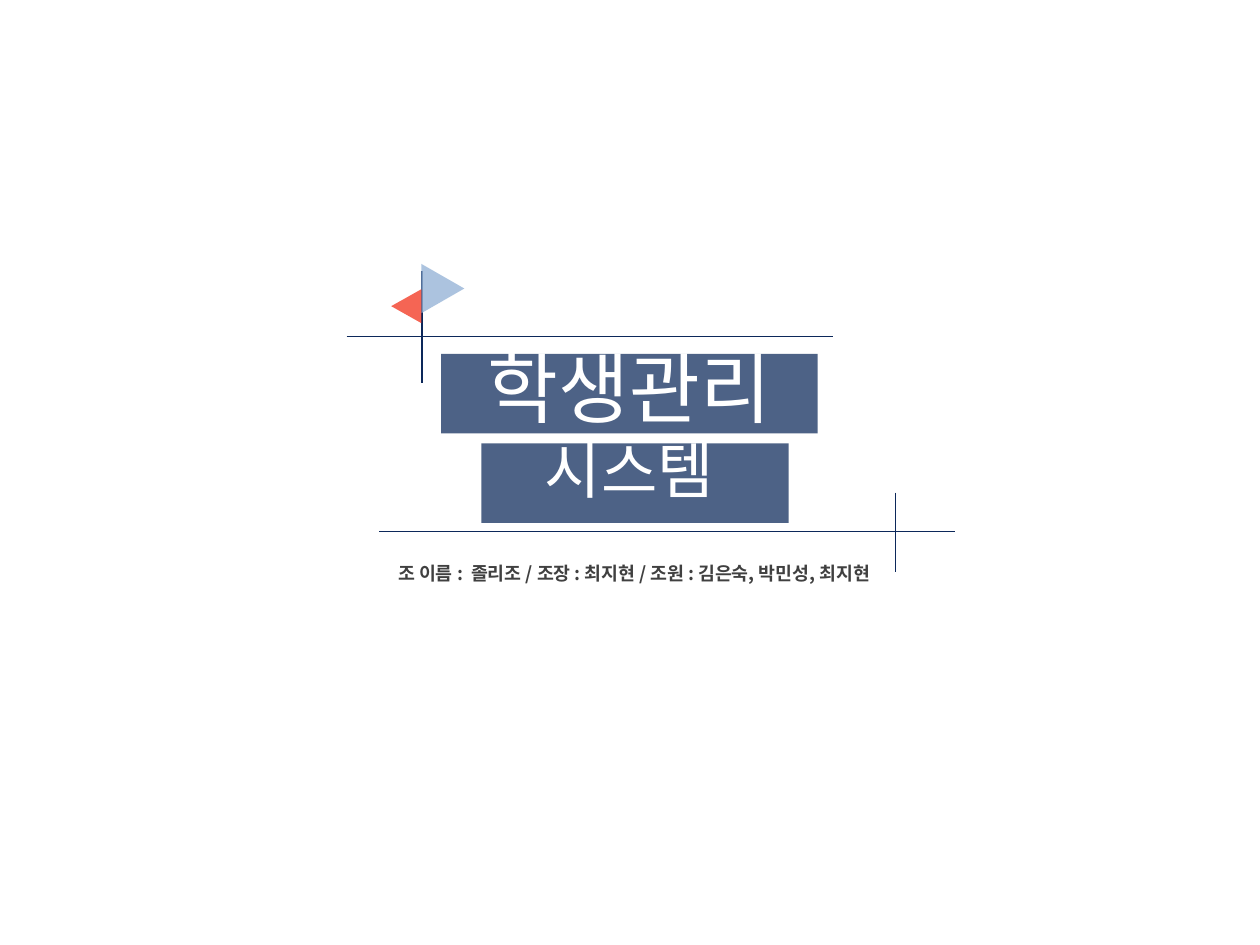
from pptx import Presentation
from pptx.dml.color import RGBColor
from pptx.enum.shapes import MSO_CONNECTOR, MSO_SHAPE
from pptx.enum.text import MSO_ANCHOR, PP_ALIGN
from pptx.oxml.ns import qn
from pptx.util import Inches, Pt
from lxml.etree import SubElement

FONT = "Noto Sans CJK KR"
HUES = {"navy": "0C285A", "blue": "95B3D7", "red": "F33A24",
        "white": "FFFFFF", "gray": "404040"}


def hue(name):
    """Return the named colour."""
    return RGBColor.from_string(HUES[name])


def add_form(slide, kind, box, color, alpha, turn=0):
    """Add a translucent shape without outline."""
    form = slide.shapes.add_shape(kind, *map(Inches, box))
    form.shadow.inherit = False
    form.rotation = turn
    form.fill.solid()
    form.fill.fore_color.rgb = hue(color)
    form.line.fill.background()
    tint = form.element.spPr.find(qn("a:solidFill"))[0]
    SubElement(tint, qn("a:alpha"), val=str(alpha * 1000))


def add_rule(slide, ends):
    """Add a thin navy line."""
    rule = slide.shapes.add_connector(MSO_CONNECTOR.STRAIGHT,
                                      *map(Inches, ends))
    rule.line.color.rgb = hue("navy")
    rule.line.width = Pt(0.75)
    SubElement(rule.element.spPr, qn("a:effectLst"))


def set_text(shape, box, lines, sizes, color, bold, align, pitch):
    """Place a text shape and format one paragraph per size."""
    shape.left, shape.top, shape.width, shape.height = map(Inches, box)
    frame = shape.text_frame
    frame.text = lines
    frame.word_wrap = True
    frame.vertical_anchor = MSO_ANCHOR.TOP
    for para, size in zip(frame.paragraphs, sizes):
        para.alignment = align
        para.line_spacing = pitch
        para.space_before = Pt(0)
        for run in para.runs:
            font = run.font
            font.name, font.size, font.bold = FONT, Pt(size), bold
            font.color.rgb = hue(color)
            SubElement(run._r.get_or_add_rPr(), qn("a:ea"), typeface=FONT)


def main():
    """Build the cover slide."""
    deck = Presentation()
    deck.slide_width, deck.slide_height = Inches(10), Inches(7.5)
    slide = deck.slides.add_slide(deck.slide_layouts[5])

    add_form(slide, MSO_SHAPE.RECTANGLE, (3.82, 3.52, 2.44, 0.63), "navy", 73)
    for ends in ((2.75, 2.67, 6.61, 2.67), (3.01, 4.22, 7.58, 4.22),
                 (7.11, 3.91, 7.11, 4.54), (3.35, 2.15, 3.35, 3.04)):
        add_rule(slide, ends)
    for box, color, turn in (((3.32, 2.12, 0.39, 0.34), "blue", 90),
                             ((3.09, 2.31, 0.27, 0.24), "red", 270)):
        add_form(slide, MSO_SHAPE.ISOSCELES_TRIANGLE, box, color, 78, turn)
    add_form(slide, MSO_SHAPE.RECTANGLE, (3.5, 2.81, 2.99, 0.63), "navy", 73)

    title = slide.shapes.title
    slide.shapes.element.append(title.element)
    set_text(title, (2.32, 2.65, 5.35, 1.43), "학생관리\n시스템", (44, 35),
             "white", False, PP_ALIGN.CENTER, 1.0)
    team = slide.shapes.add_textbox(0, 0, 0, 0)
    set_text(team, (3.03, 4.35, 4.25, 0.32),
             " 조 이름 :  졸리조 / 조장 : 최지현 / 조원 : 김은숙, 박민성, 최지현",
             (10.5,), "gray", True, PP_ALIGN.LEFT, Pt(17))
    deck.save("out.pptx")


main()
